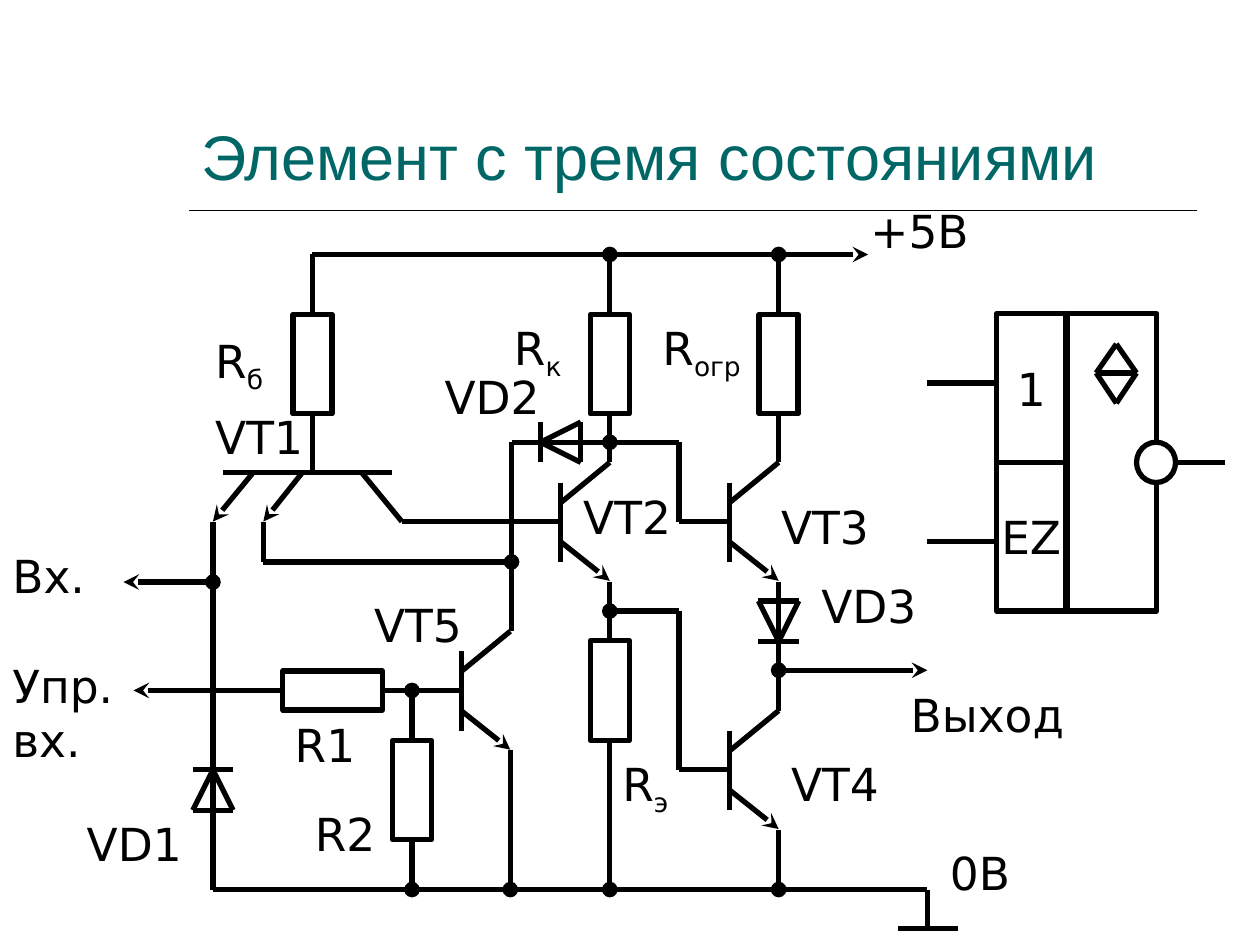
import itertools
import lxml.etree
import pptx
import pptx.dml.color
import pptx.enum.shapes
import pptx.enum.text
import pptx.oxml.ns
import pptx.util
from pptx.util import Inches

BLACK = pptx.dml.color.RGBColor(0, 0, 0)
WHITE = pptx.dml.color.RGBColor(255, 255, 255)
TEAL = pptx.dml.color.RGBColor(0, 0x66, 0x66)

TITLE = "Элемент с тремя состояниями"
TITLE_FONT = {"name": "Arial", "size": pptx.util.Pt(36)}
LABEL_FONT = {"name": "DejaVu Sans", "size": pptx.util.Pt(26)}

LABELS = [
    ("+5В", "", 6.81, 1.56, 1.02, 0.54),
    ("Вх.", "", 0, 4.3, 1.02, 0.54),
    ("Упр.\vвх.", "", 0, 5.17, 1.02, 0.97),
    ("Выход", "", 7.13, 5.4, 1.46, 0.54),
    ("0В", "", 7.44, 6.66, 1.02, 0.54),
    ("R", "б", 1.61, 2.59, 0.71, 0.6),
    ("R", "к", 3.98, 2.49, 0.71, 0.6),
    ("R", "огр", 5.16, 2.49, 0.86, 0.6),
    ("R", "э", 4.84, 5.95, 0.71, 0.6),
    ("R1", "", 2.24, 5.64, 0.71, 0.54),
    ("R2", "", 2.4, 6.35, 0.71, 0.54),
    ("VT1", "", 1.61, 3.2, 1.02, 0.54),
    ("VT2", "", 4.53, 3.83, 1.02, 0.54),
    ("VT3", "", 6.1, 3.91, 1.02, 0.54),
    ("VT4", "", 6.18, 5.95, 1.02, 0.54),
    ("VT5", "", 2.87, 4.69, 1.02, 0.54),
    ("VD1", "", 0.59, 6.43, 1.1, 0.54),
    ("VD2", "", 3.43, 2.88, 1.1, 0.54),
    ("VD3", "", 6.42, 4.54, 1.02, 0.54),
]

RESISTOR_LONG, RESISTOR_SHORT = 0.79, 0.31
RESISTORS = {
    "Rб": (2.48, 2.89, False),
    "Rк": (4.84, 2.89, False),
    "Rогр": (6.18, 2.89, False),
    "Rэ": (4.84, 5.48, False),
    "R1": (2.64, 5.48, True),
    "R2": (3.27, 6.27, False),
}
TRANSISTORS = [(4.45, 4.14), (5.79, 4.14), (5.79, 6.11), (3.66, 5.48)]
DIODES = [(1.69, 6.27, 0, -1), (4.45, 3.51, -1, 0), (6.18, 4.93, 0, 1)]
SYMBOL_BLOCKS = {
    "input": ("1", 7.91, 2.49, 0.55, 1.18),
    "body": ("", 8.47, 2.49, 0.71, 2.36),
    "enable": ("EZ", 7.91, 3.67, 0.55, 1.18),
}
TOP, RIGHT, BOTTOM, LEFT = 0, 3, 2, 1

WIRES = [
    ([(6.89, 2.02), (2.48, 2.02), ("Rб", TOP)], "stealth", None),
    ([("Rб", BOTTOM), (2.48, 3.75)], None, None),
    ([("Rк", TOP), (4.84, 2.02)], None, "oval"),
    ([("Rк", BOTTOM), (4.84, 3.67)], None, None),
    ([("Rогр", TOP), (6.18, 2.02)], None, "oval"),
    ([("Rогр", BOTTOM), (6.18, 3.67)], None, None),
    ([(4.84, 4.62), ("Rэ", TOP)], None, None),
    ([("Rэ", BOTTOM), (4.84, 7.06)], None, "oval"),
    ([("R1", LEFT), (1.06, 5.48)], None, "stealth"),
    ([("R1", RIGHT), (3.66, 5.48)], None, None),
    ([("R2", TOP), (3.27, 5.48)], None, "oval"),
    ([("R2", BOTTOM), (3.27, 7.06)], None, "oval"),
    ([(1.77, 3.75), (3.11, 3.75)], None, None),
    ([(1.69, 4.14), (2.01, 3.75)], "stealth", None),
    ([(2.09, 4.14), (2.4, 3.75)], "stealth", None),
    ([(2.87, 3.75), (3.19, 4.14), (4.45, 4.14)], None, None),
    ([(1.69, 4.14), (1.69, 4.62)], None, None),
    ([(1.69, 4.62), (0.98, 4.62)], None, "stealth"),
    ([(1.69, 7.06), (1.69, 4.62)], None, "oval"),
    ([(2.09, 4.14), (2.09, 4.46), (4.06, 4.46)], None, "oval"),
    ([(4.84, 3.51), (4.06, 3.51), (4.06, 5.01)], None, None),
    ([(5.79, 4.14), (5.39, 4.14), (5.39, 3.51), (4.84, 3.51)], None, "oval"),
    ([(5.79, 6.11), (5.39, 6.11), (5.39, 4.85), (4.84, 4.85)], None, "oval"),
    ([(4.05, 5.95), (4.05, 7.06)], None, "oval"),
    ([(6.18, 4.62), (6.18, 5.64)], None, None),
    ([(6.18, 6.59), (6.18, 7.06)], None, "oval"),
    ([(7.36, 5.32), (6.18, 5.32)], "stealth", "oval"),
    ([(1.69, 7.06), (7.36, 7.06), (7.36, 7.37)], None, None),
    ([(7.13, 7.37), (7.6, 7.37)], None, None),
    ([(7.36, 3.04), (7.91, 3.04)], None, None),
    ([(7.36, 4.3), (7.91, 4.3)], None, None),
    ([("body", RIGHT), (9.72, 3.67)], None, None),
    ([(8.7, 2.96), (8.86, 2.73), (9.02, 2.96), (8.86, 3.2), (8.7, 2.96), (9.02, 2.96)], None, None),
]

deck = pptx.Presentation()
deck.slide_width, deck.slide_height = Inches(10), Inches(7.5)
slide = deck.slides.add_slide(deck.slide_layouts[6])
parts = {}


def style_font(font, values, color=BLACK):
    for key, value in values.items():
        setattr(font, key, value)
    font.color.rgb = color


def add_outline(kind, left, top, width, height):
    outline = slide.shapes.add_shape(kind, *map(Inches, (left, top, width, height)))
    outline.shadow.inherit = False
    outline.fill.solid()
    outline.fill.fore_color.rgb = WHITE
    outline.line.color.rgb = BLACK
    outline.line.width = pptx.util.Pt(3)
    return outline


def add_segment(start, end, head=None, tail=None, shapes=slide.shapes, weight=3):
    joined = [isinstance(point[0], str) for point in (start, end)]
    places = [(0, 0) if join else point for join, point in zip(joined, (start, end))]
    segment = shapes.add_connector(
        pptx.enum.shapes.MSO_CONNECTOR.STRAIGHT, *map(Inches, itertools.chain(*places)))
    segment.line.color.rgb = BLACK
    segment.line.width = pptx.util.Pt(weight)
    if joined[0]:
        segment.begin_connect(parts[start[0]], start[1])
    if joined[1]:
        segment.end_connect(parts[end[0]], end[1])
    properties = segment._element.spPr
    outline = properties.find(pptx.oxml.ns.qn("a:ln"))
    for tag, ending in (("a:headEnd", head), ("a:tailEnd", tail)):
        if ending:
            lxml.etree.SubElement(outline, pptx.oxml.ns.qn(tag)).set("type", ending)
    lxml.etree.SubElement(properties, pptx.oxml.ns.qn("a:effectLst"))


def add_wire(points, head, tail):
    last = len(points) - 2
    for index, (start, end) in enumerate(itertools.pairwise(points)):
        add_segment(start, end, head if index == 0 else None, tail if index == last else None)


def add_transistor(x, y):
    add_segment((x, y - 0.31), (x, y + 0.32))
    add_segment((x + 0.39, y + 0.47), (x, y + 0.16), "stealth")
    add_segment((x, y - 0.15), (x + 0.39, y - 0.47))


def add_diode(x, y, dx, dy, half=0.16):
    diode = slide.shapes.add_group_shape().shapes
    tip = (x + half * dx, y + half * dy)

    def corner(along, across):
        return (x + half * (along * dx + across * dy), y + half * (along * dy + across * dx))

    for along in (1, -1):
        add_segment(corner(along, -1), corner(along, 1), shapes=diode)
    for across in (1, -1):
        add_segment(tip, corner(-1, across), shapes=diode)


def add_label(text, subscript, left, top, width, height):
    frame = slide.shapes.add_textbox(*map(Inches, (left, top, width, height))).text_frame
    frame.word_wrap = True
    frame.auto_size = pptx.enum.text.MSO_AUTO_SIZE.SHAPE_TO_FIT_TEXT
    line = frame.paragraphs[0]
    line.text = text
    if subscript:
        lowered = line.add_run()
        lowered.text = subscript
        lowered.font._element.set("baseline", "-25000")
    for run in line.runs:
        style_font(run.font, LABEL_FONT)


heading = slide.shapes.add_textbox(Inches(1.5), Inches(0.33), Inches(8), Inches(1.25)).text_frame
heading.word_wrap = True
heading.vertical_anchor = pptx.enum.text.MSO_ANCHOR.BOTTOM
heading.text = TITLE
style_font(heading.paragraphs[0].runs[0].font, TITLE_FONT, TEAL)
add_segment((1.5, 1.67), (9.5, 1.67), weight=1)

RECTANGLE = pptx.enum.shapes.MSO_SHAPE.RECTANGLE
for name, (x, y, horizontal) in RESISTORS.items():
    width, height = RESISTOR_SHORT, RESISTOR_LONG
    if horizontal:
        width, height = height, width
    parts[name] = add_outline(RECTANGLE, x - width / 2, y - height / 2, width, height)

for name, (caption, *box) in SYMBOL_BLOCKS.items():
    parts[name] = add_outline(RECTANGLE, *box)
    if caption:
        frame = parts[name].text_frame
        frame.word_wrap = False
        frame.vertical_anchor = pptx.enum.text.MSO_ANCHOR.MIDDLE
        frame.text = caption
        frame.paragraphs[0].alignment = pptx.enum.text.PP_ALIGN.CENTER
        style_font(frame.paragraphs[0].runs[0].font, LABEL_FONT)

for adder, rows in ((add_wire, WIRES), (add_transistor, TRANSISTORS),
                    (add_diode, DIODES), (add_label, LABELS)):
    for row in rows:
        adder(*row)
add_outline(pptx.enum.shapes.MSO_SHAPE.OVAL, 9.02, 3.51, 0.31, 0.32)

deck.save("out.pptx")
